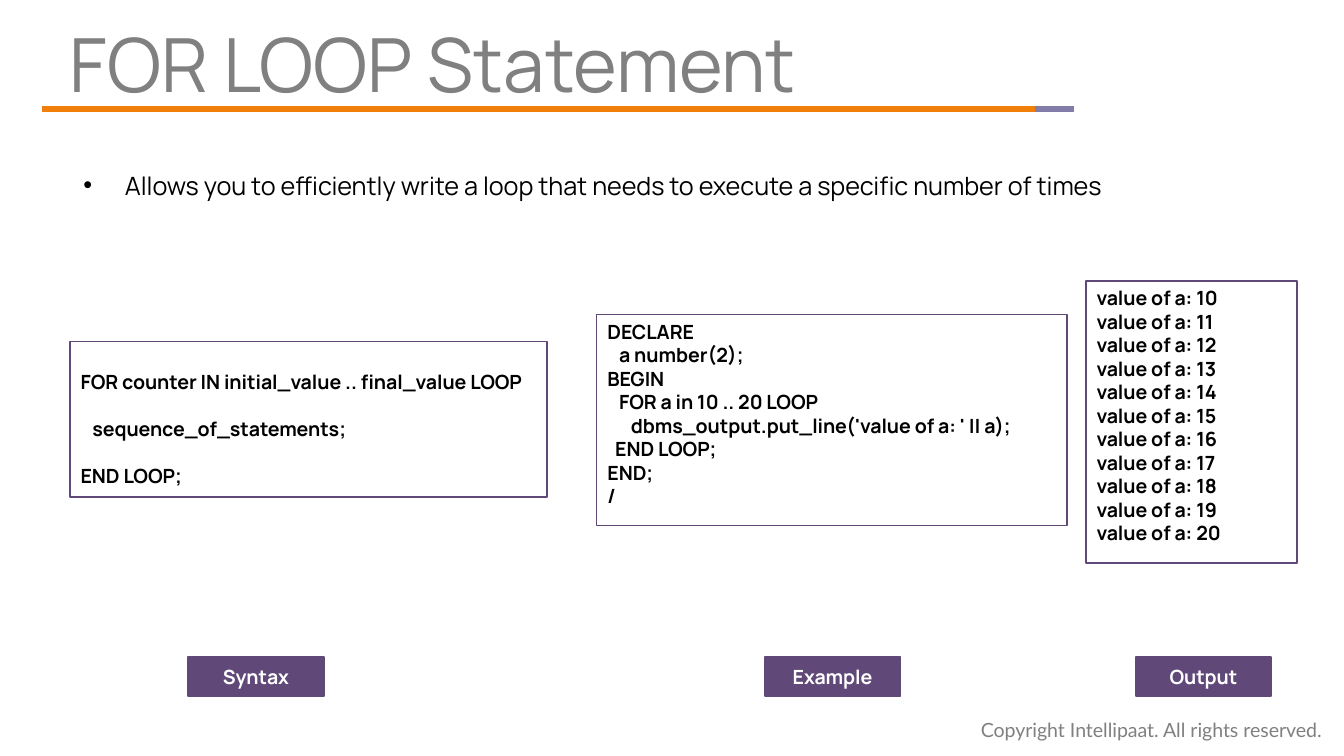
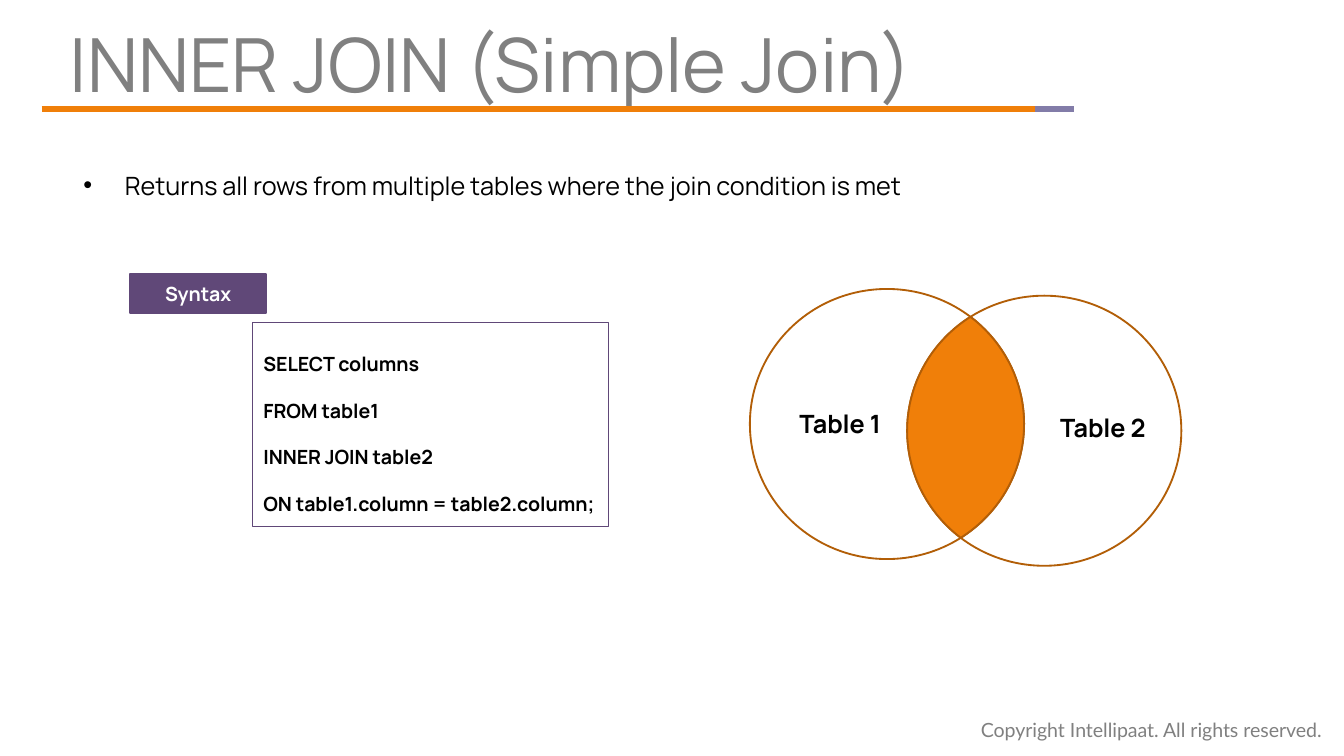
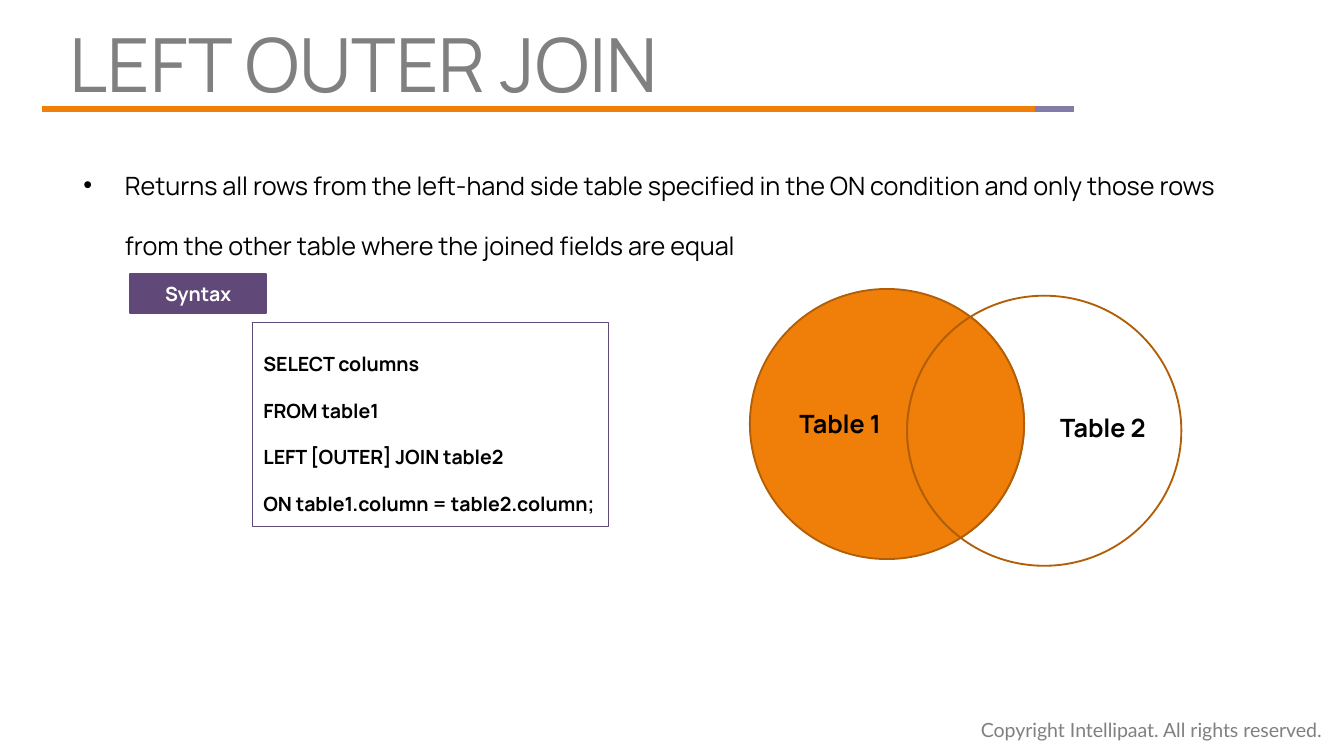
import math

import pptx
import pptx.dml.color
import pptx.enum.shapes
import pptx.enum.text
import pptx.oxml
import pptx.util
from lxml import etree

Inches = pptx.util.Inches
RGBColor = pptx.dml.color.RGBColor
SHAPE = pptx.enum.shapes.MSO_SHAPE
ANCHOR = pptx.enum.text.MSO_ANCHOR
ALIGN = pptx.enum.text.PP_ALIGN
FIT = pptx.enum.text.MSO_AUTO_SIZE

ORANGE = RGBColor(0xF0, 0x7F, 0x09)
DARK_ORANGE = RGBColor(0xB2, 0x5E, 0x07)
LILAC = RGBColor(0x82, 0x7C, 0xA8)
PURPLE = RGBColor(0x60, 0x48, 0x78)
GREY = RGBColor(0x80, 0x80, 0x80)
BLACK = RGBColor(0, 0, 0)
WHITE = RGBColor(0xFF, 0xFF, 0xFF)

# Every code box: text, position, line spacing; every tag: text, position
JOIN_SYNTAX = """SELECT columns
FROM table1
{} table2
ON table1.column = table2.column;"""
JOIN_BOX = (1.88, 2.4, 2.65, 1.52)
JOIN_TAGS = [("Syntax", 0.97, 2.04)]

LOOP_SYNTAX = """FOR counter IN initial_value .. final_value LOOP
   sequence_of_statements;
END LOOP;"""
LOOP_EXAMPLE = """DECLARE
   a number(2);
BEGIN
   FOR a in 10 .. 20 LOOP
      dbms_output.put_line('value of a: ' || a);
  END LOOP;
END;
/"""
LOOP_OUTPUT = "\n".join(f"value of a: {a}" for a in range(10, 21))

TOPICS = [
    dict(title="FOR LOOP Statement",
         summary="Allows you to efficiently write a loop that needs to execute "
                 "a specific number of times",
         summary_size=(8.22, 0.49),
         code=[(LOOP_SYNTAX, (0.52, 2.54, 3.55, 1.16), 2),
               (LOOP_EXAMPLE, (4.44, 2.34, 3.5, 1.57), 1),
               (LOOP_OUTPUT, (8.08, 2.09, 1.57, 2.1), 1)],
         tags=[("Syntax", 1.4, 4.89), ("Example", 5.69, 4.89), ("Output", 8.45, 4.89)],
         table_fills=None),
    dict(title="INNER JOIN (Simple Join)",
         summary="Returns all rows from multiple tables where the join condition is met",
         summary_size=(8.22, 0.49),
         code=[(JOIN_SYNTAX.format("INNER JOIN"), JOIN_BOX, 2)],
         tags=JOIN_TAGS,
         table_fills=(None, None)),
    dict(title="LEFT OUTER JOIN",
         summary="Returns all rows from the left-hand side table specified in the ON "
                 "condition and only those rows from the other table where the joined "
                 "fields are equal",
         summary_size=(8.76, 0.94),
         code=[(JOIN_SYNTAX.format("LEFT [OUTER] JOIN"), JOIN_BOX, 2)],
         tags=JOIN_TAGS,
         table_fills=(ORANGE, None)),
]

# Venn diagram: two equal ellipses, overlap bounded by one arc of each
CIRCLE_WIDTH, CIRCLE_HEIGHT = 2.04, 2.01
CIRCLE_CORNERS = [(5.58, 2.15), (6.75, 2.2)]
TABLE_LABELS = [("Table 1", 5.85, 2.99), ("Table 2", 7.79, 3.02)]
ARC_STEPS = 40
radius_x, radius_y = CIRCLE_WIDTH / 2, CIRCLE_HEIGHT / 2
shift_x = (CIRCLE_CORNERS[1][0] - CIRCLE_CORNERS[0][0]) / radius_x
shift_y = (CIRCLE_CORNERS[1][1] - CIRCLE_CORNERS[0][1]) / radius_y
half_arc = math.acos(math.hypot(shift_x, shift_y) / 2)
facing = math.atan2(shift_y, shift_x)
overlap_outline = []
for (left, top), middle in zip(CIRCLE_CORNERS, (facing, facing + math.pi)):
    for step in range(ARC_STEPS):
        angle = middle + half_arc * (2 * step / ARC_STEPS - 1)
        overlap_outline.append((Inches(left + radius_x * (1 + math.cos(angle))),
                                Inches(top + radius_y * (1 + math.sin(angle)))))


def write(frame, text, size=10.5, color=BLACK, font="Manrope", bold=False, spacing=1.0,
          align=ALIGN.LEFT, anchor=ANCHOR.TOP, wrap=True, fit=FIT.SHAPE_TO_FIT_TEXT,
          insets=(0.1, 0.05, 0.1, 0.05), hanging=None):
    frame.text = text
    frame.word_wrap = wrap
    frame.auto_size = fit
    frame.vertical_anchor = anchor
    (frame.margin_left, frame.margin_top,
     frame.margin_right, frame.margin_bottom) = map(Inches, insets)
    for paragraph in frame.paragraphs:
        if hanging:
            properties = paragraph._p.get_or_add_pPr()
            properties.set("marL", str(Inches(hanging)))
            properties.set("indent", str(-Inches(hanging)))
            bullet = etree.SubElement(properties, pptx.oxml.ns.qn("a:buChar"))
            bullet.set("char", "•")
        paragraph.alignment = align
        paragraph.line_spacing = spacing
        paragraph.space_before = pptx.util.Pt(0)
        for run in paragraph.runs:
            run.font.size = pptx.util.Pt(size)
            run.font.name = font
            run.font.bold = bold
            run.font.color.rgb = color


def paint(shape, fill, line, width=1):
    shape.shadow.inherit = False
    if fill is None:
        shape.fill.background()
    else:
        shape.fill.solid()
        shape.fill.fore_color.rgb = fill
    shape.line.color.rgb = line
    shape.line.width = pptx.util.Pt(width)


# Widescreen 16:9 page
deck = pptx.Presentation()
deck.slide_width = Inches(10)
deck.slide_height = Inches(10 * 9 / 16)

for topic in TOPICS:
    slide = deck.slides.add_slide(deck.slide_layouts[1])
    title, summary = slide.placeholders

    # Footer and two-colour rule under the title
    footer = slide.shapes.add_textbox(Inches(7.2), Inches(5.29), Inches(2.83), Inches(0.28))
    write(footer.text_frame, "Copyright Intellipaat. All rights reserved.",
          font="Lato", color=GREY, wrap=False)
    for start, end, color in [(0.31, 7.7, ORANGE), (7.7, 7.99, LILAC)]:
        rule = slide.shapes.add_connector(pptx.enum.shapes.MSO_CONNECTOR.STRAIGHT,
                                          Inches(start), Inches(0.81), Inches(end), Inches(0.81))
        rule.line.color.rgb = color
        rule.line.width = pptx.util.Pt(3)
        etree.SubElement(rule._element.spPr, pptx.oxml.ns.qn("a:effectLst"))

    # Title and summary
    title.left, title.top, title.width, title.height = map(Inches, (0.52, 0.16, 7.1, 0.63))
    write(title.text_frame, topic["title"], size=40, color=GREY, spacing=0.9,
          fit=FIT.NONE, insets=(0, 0.05, 0.1, 0.05))
    summary.left, summary.top = Inches(0.52), Inches(0.99)
    summary.width, summary.height = map(Inches, topic["summary_size"])
    write(summary.text_frame, topic["summary"], size=13.5, spacing=2.0, hanging=0.31)

    # Code boxes and their tags
    for code, place, spacing in topic["code"]:
        code_box = slide.shapes.add_shape(SHAPE.RECTANGLE, *map(Inches, place))
        paint(code_box, None, PURPLE, 0.75)
        write(code_box.text_frame, code, bold=True, spacing=float(spacing),
              wrap=spacing == 1, insets=(0.08, 0.04, 0.1, 0.12))
    for caption, left, top in topic["tags"]:
        tag = slide.shapes.add_shape(SHAPE.RECTANGLE, Inches(left), Inches(top),
                                     Inches(1.01), Inches(0.29))
        paint(tag, PURPLE, PURPLE)
        write(tag.text_frame, caption, color=WHITE, bold=True, align=ALIGN.CENTER,
              anchor=ANCHOR.MIDDLE, fit=FIT.NONE)

    # Venn diagram of the joined tables
    if topic["table_fills"]:
        venn = slide.shapes.add_group_shape().shapes
        for (left, top), fill in zip(CIRCLE_CORNERS, topic["table_fills"]):
            table_circle = venn.add_shape(SHAPE.OVAL, Inches(left), Inches(top),
                                          Inches(CIRCLE_WIDTH), Inches(CIRCLE_HEIGHT))
            paint(table_circle, fill, DARK_ORANGE)
        outline = venn.build_freeform(*overlap_outline[0])
        outline.add_line_segments(overlap_outline[1:], close=True)
        paint(outline.convert_to_shape(), ORANGE, DARK_ORANGE)
        for name, left, top in TABLE_LABELS:
            table_label = venn.add_textbox(Inches(left), Inches(top), Inches(0.84), Inches(0.33))
            write(table_label.text_frame, name, size=13.5, bold=True, wrap=False)

deck.save("out.pptx")
